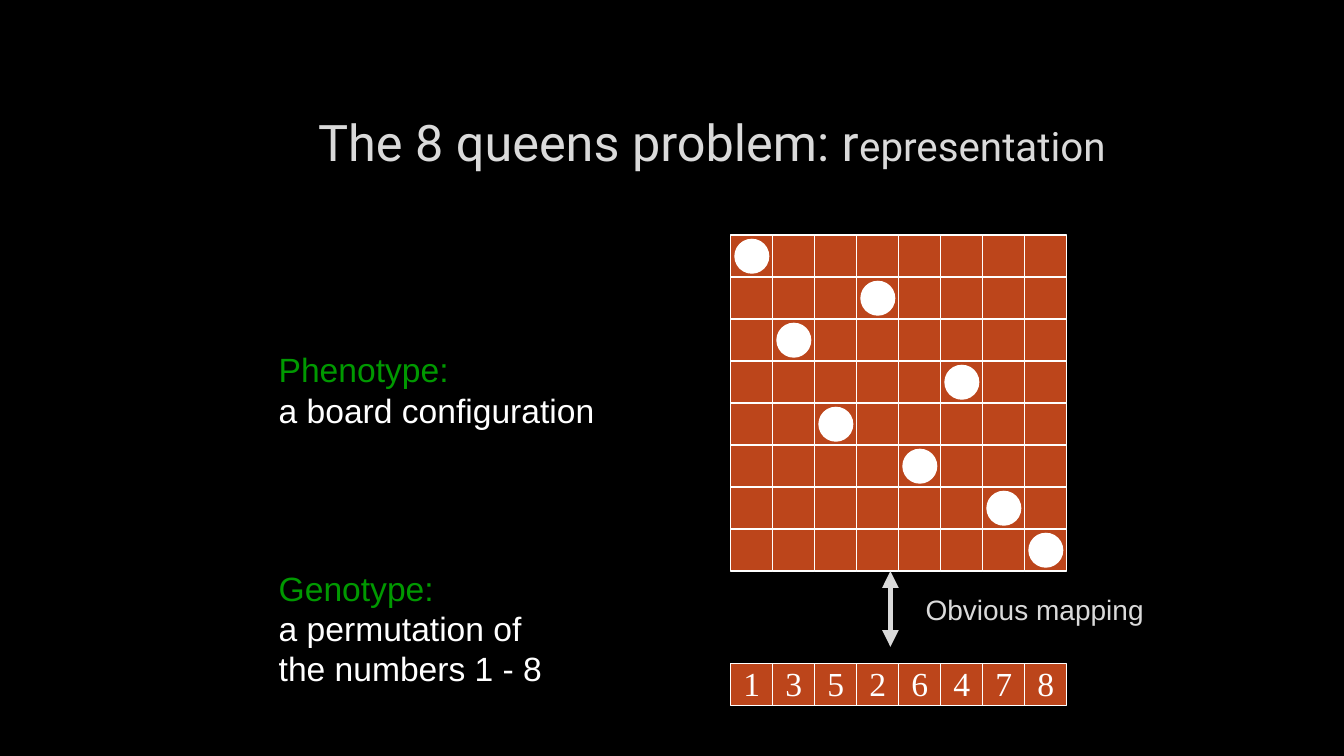
from lxml import etree
from pptx import Presentation
from pptx import util as u
from pptx.dml.color import RGBColor
from pptx.enum import shapes, text
from pptx.oxml.ns import qn

BLACK = RGBColor(0x00, 0x00, 0x00)
WHITE = RGBColor(0xFF, 0xFF, 0xFF)
GREY = RGBColor(0xDA, 0xDA, 0xDA)
GREEN = RGBColor(0x00, 0x99, 0x00)
RUST = RGBColor(0xBC, 0x45, 0x1B)

# The page is 32 by 18 units, and one board square is one unit
deck = Presentation()
deck.slide_width = u.Inches(13.333)
deck.slide_height = u.Inches(7.5)
UNIT = deck.slide_height / 18
page = deck.slides.add_slide(deck.slide_layouts[6])
page.background.fill.solid()
page.background.fill.fore_color.rgb = BLACK

BOARD_LEFT, BOARD_TOP, GENES_TOP = 17.4, 5.6, 15.8
PERMUTATION = [1, 3, 5, 2, 6, 4, 7, 8]
SIZE = len(PERMUTATION)


def add_piece(kind, left, top, side, color):
    piece = page.shapes.add_shape(kind, *(round(n * UNIT) for n in (left, top, side, side)))
    piece.shadow.inherit = False
    piece.fill.solid()
    piece.fill.fore_color.rgb = color
    piece.line.color.rgb = WHITE
    piece.line.width = u.Pt(1)
    return piece


def add_span(para, words, font, size, color):
    span = para.add_run()
    span.text = words
    for name, value in {"name": font, "size": u.Pt(size)}.items():
        setattr(span.font, name, value)
    span.font.color.rgb = color


# Title and labels: left, top, width, height, alignment, line spacing, paragraphs
LEFT, CENTER = text.PP_ALIGN.LEFT, text.PP_ALIGN.CENTER
labels = [
    (5.9, 2, 22.1, 2, CENTER, 1.5,
     [[("The 8 queens problem: r", "Roboto", 36, GREY),
       ("epresentation", "Roboto", 28.8, GREY)]]),
    (6.4, 8.2, 8.3, 2.2, LEFT, 1,
     [[("Phenotype:", "Arial", 24, GREEN)],
      [("a board configuration", "Arial", 24, WHITE)]]),
    (6.4, 13.4, 6.8, 3.15, LEFT, 1,
     [[("Genotype:", "Arial", 24, GREEN)],
      [("a permutation of", "Arial", 24, WHITE)],
      [("the numbers 1 - 8", "Arial", 24, WHITE)]]),
    (21.8, 14, 6, 1.05, LEFT, 1,
     [[("Obvious mapping", "Arial", 20, GREY)]]),
]
for left, top, width, height, align, spacing, paragraphs in labels:
    box = page.shapes.add_textbox(*(round(n * UNIT) for n in (left, top, width, height)))
    frame = box.text_frame
    frame.word_wrap = True
    frame.vertical_anchor = text.MSO_ANCHOR.MIDDLE if align == CENTER else text.MSO_ANCHOR.TOP
    for index, spans in enumerate(paragraphs):
        para = frame.add_paragraph() if index else frame.paragraphs[0]
        para.alignment = align
        para.line_spacing = spacing
        for span_values in spans:
            add_span(para, *span_values)

# Chess board
for row in range(SIZE):
    for column in range(SIZE):
        add_piece(shapes.MSO_SHAPE.RECTANGLE, BOARD_LEFT + column, BOARD_TOP + row, 1, RUST)

# One queen and one gene per column
for column, number in enumerate(PERMUTATION):
    add_piece(shapes.MSO_SHAPE.OVAL, BOARD_LEFT + column + 0.1,
              BOARD_TOP + number - 0.9, 0.8, WHITE)
    gene = add_piece(shapes.MSO_SHAPE.RECTANGLE, BOARD_LEFT + column, GENES_TOP, 1, RUST)
    frame_format = {"margin_left": 0, "margin_right": 0, "margin_top": 0,
                    "margin_bottom": u.Pt(2), "word_wrap": False,
                    "vertical_anchor": text.MSO_ANCHOR.MIDDLE}
    for name, value in frame_format.items():
        setattr(gene.text_frame, name, value)
    para = gene.text_frame.paragraphs[0]
    para.alignment = CENTER
    add_span(para, str(number), "Times New Roman", 24, WHITE)

# Two-way mapping arrow
arrow = page.shapes.add_connector(
    shapes.MSO_CONNECTOR.STRAIGHT,
    *(round(n * UNIT) for n in (21.2, BOARD_TOP + SIZE, 21.2, GENES_TOP - 0.4)))
arrow.line.color.rgb = GREY
arrow.line.width = u.Pt(4)
for end in ("a:headEnd", "a:tailEnd"):
    etree.SubElement(arrow.line._get_or_add_ln(), qn(end), type="triangle")
etree.SubElement(arrow._element.spPr, qn("a:effectLst"))

deck.save("out.pptx")
